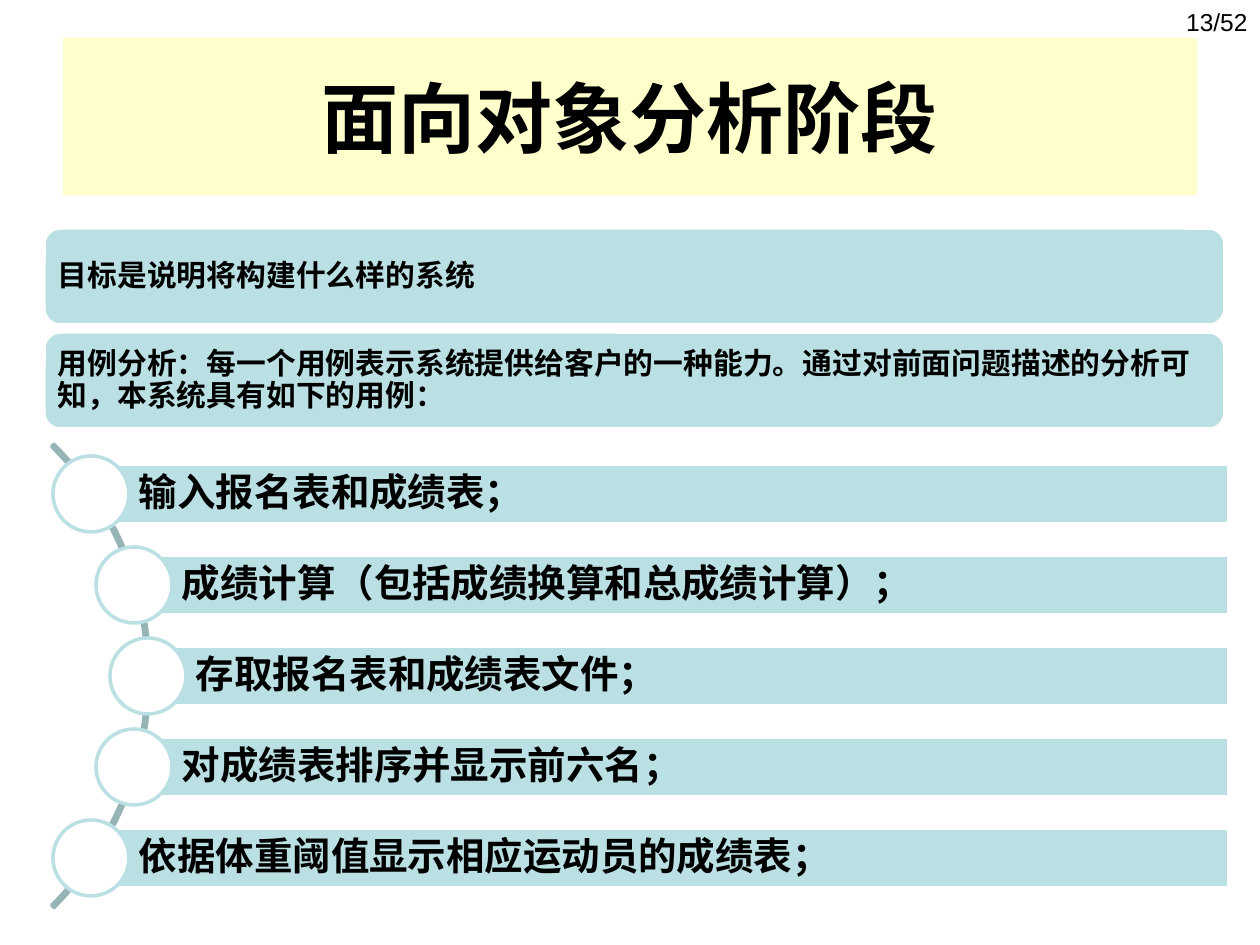
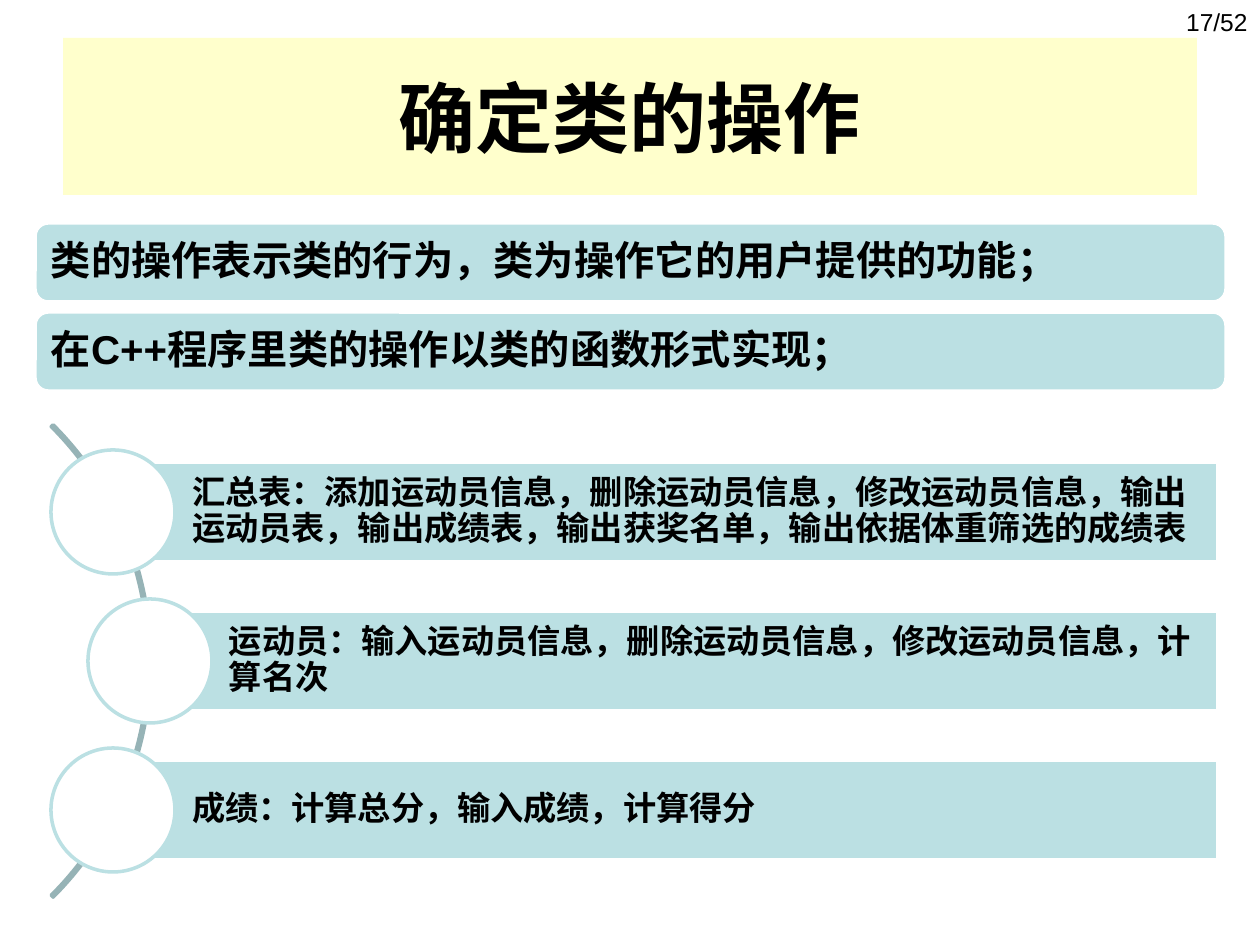
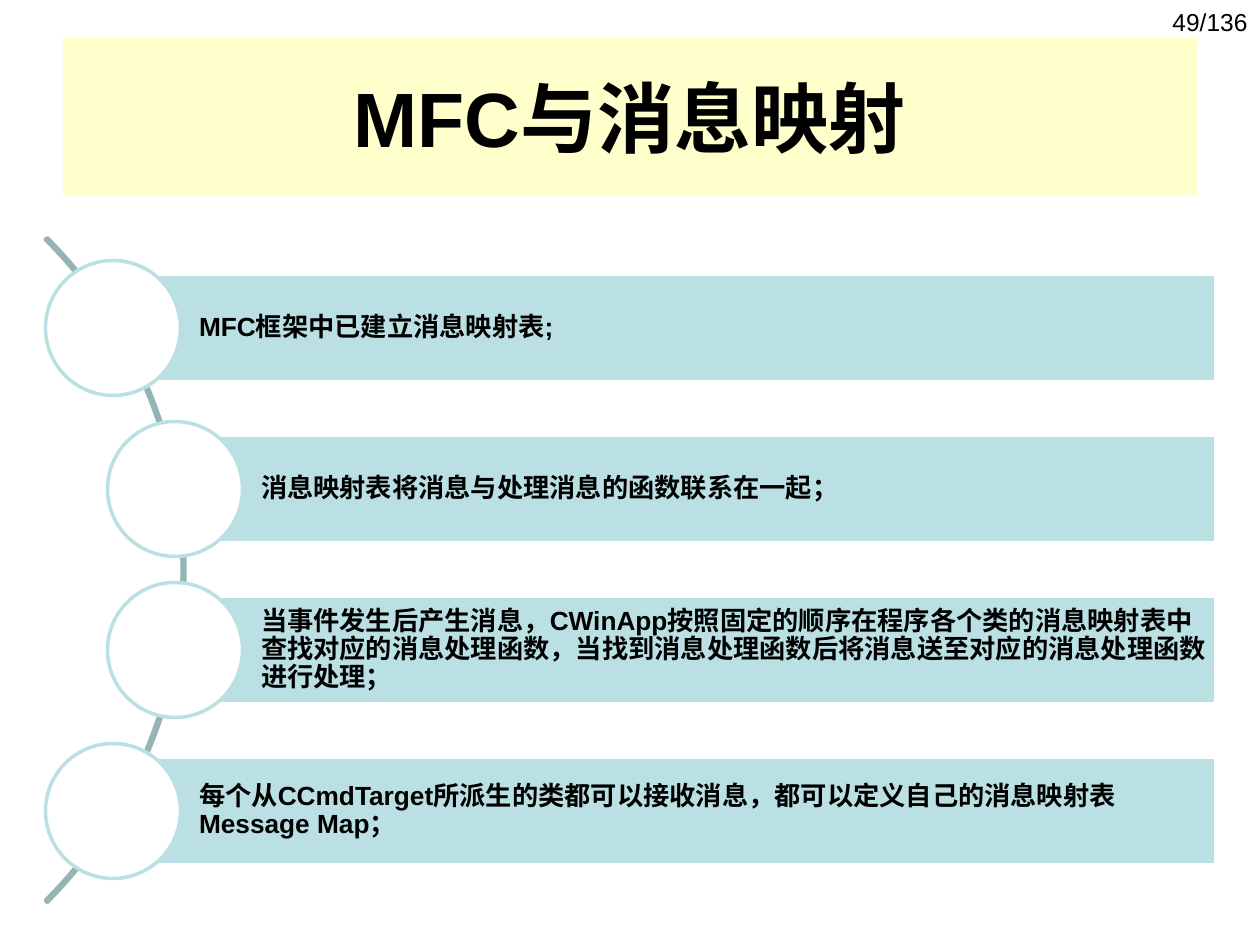
"""Builds three slides of cards and arc lists about object-oriented design."""
from pptx import Presentation
from pptx import util as u
from pptx.dml.color import RGBColor
from pptx.enum import shapes, text

BLACK = RGBColor(0x00, 0x00, 0x00)
WHITE = RGBColor(0xFF, 0xFF, 0xFF)
CREAM = RGBColor(0xFF, 0xFF, 0xCC)
TEAL = RGBColor(0xBB, 0xE0, 0xE3)
ARC = RGBColor(0x96, 0xB3, 0xB6)
FONT = "Arial"
PX = u.Inches(1) / 126


def emu(*lengths):
    return [u.Emu(round(n * PX)) for n in lengths]


class Deck:
    def __init__(self):
        self.prs = Presentation()
        self.prs.slide_width, self.prs.slide_height = emu(1260, 945)
        self.s = None

    def set_text(self, tf, words, size, align, bold=True, spacing=None):
        tf.word_wrap = True
        tf.text = words
        p = tf.paragraphs[0]
        p.alignment = align
        p.line_spacing = spacing
        p.font.name = FONT
        p.font.size = u.Pt(size)
        p.font.bold = bold
        p.font.color.rgb = BLACK

    def slide(self, title, number):
        self.s = self.prs.slides.add_slide(self.prs.slide_layouts[5])
        sp = self.s.shapes.title
        sp.left, sp.top, sp.width, sp.height = emu(63, 38, 1134, 157)
        sp.fill.solid()
        sp.fill.fore_color.rgb = CREAM
        tf = sp.text_frame
        tf.auto_size = text.MSO_AUTO_SIZE.NONE
        tf.vertical_anchor = text.MSO_ANCHOR.MIDDLE
        self.set_text(tf, title, 44, text.PP_ALIGN.CENTER)
        sp = self.s.shapes.add_textbox(*emu(1147, 1, 113, 66))
        self.set_text(sp.text_frame, number, 14, text.PP_ALIGN.RIGHT, bold=False)

    def shape(self, kind, box, fill, line):
        sp = self.s.shapes.add_shape(kind, *emu(*box))
        sp.shadow.inherit = False
        if fill is None:
            sp.fill.background()
        else:
            sp.fill.solid()
            sp.fill.fore_color.rgb = fill
        sp.line.color.rgb = line
        sp.line.width = u.Pt(2)
        return sp

    def label(self, kind, box, words, size, indent, pad):
        tf = self.shape(kind, box, TEAL, WHITE).text_frame
        tf.vertical_anchor = text.MSO_ANCHOR.MIDDLE
        tf.margin_left, tf.margin_top, tf.margin_right, tf.margin_bottom = emu(
            indent, pad, pad, pad)
        self.set_text(tf, words, size, text.PP_ALIGN.LEFT, spacing=0.9)

    def cards(self, items, box, pitch, size, pad):
        left, top, width, height = box
        for i, words in enumerate(items):
            self.label(shapes.MSO_SHAPE.ROUNDED_RECTANGLE,
                       (left, top + i * pitch, width, height),
                       words, size, pad, pad)

    def arc(self, right, middle, diameter, thickness):
        sp = self.shape(shapes.MSO_SHAPE.BLOCK_ARC,
                        (right - diameter, middle - diameter / 2, diameter, diameter),
                        None, ARC)
        for i, value in enumerate((189, 27, thickness)):
            sp.adjustments[i] = value

    def rows(self, items, first, pitch, height, right, dot, size, indent, pad):
        for i, (left, words) in enumerate(items):
            middle = first + i * pitch
            self.label(shapes.MSO_SHAPE.RECTANGLE,
                       (left, middle - height / 2, right - left, height),
                       words, size, indent, pad)
            self.shape(shapes.MSO_SHAPE.OVAL,
                       (left - dot / 2, middle - dot / 2, dot, dot), WHITE, TEAL)


def main():
    deck = Deck()

    deck.slide("面向对象分析阶段", "13/52")
    deck.cards(["目标是说明将构建什么样的系统",
                "用例分析：每一个用例表示系统提供给客户的一种能力。"
                "通过对前面问题描述的分析可知，本系统具有如下的用例："],
               box=(44, 228, 1181, 97), pitch=104, size=17, pad=9)
    deck.arc(right=150, middle=676, diameter=655, thickness=0.005)
    deck.rows([(91, "输入报名表和成绩表；"),
               (134, "成绩计算（包括成绩换算和总成绩计算）；"),
               (148, "存取报名表和成绩表文件；"),
               (134, "对成绩表排序并显示前六名；"),
               (91, "依据体重阈值显示相应运动员的成绩表；")],
              first=494, pitch=91, height=60, right=1229, dot=76,
              size=22, indent=48, pad=8)

    deck.slide("确定类的操作", "17/52")
    deck.cards(["类的操作表示类的行为，类为操作它的用户提供的功能；",
                "在C++程序里类的操作以类的函数形式实现；"],
               box=(35, 223, 1191, 79), pitch=89, size=23, pad=12)
    deck.arc(right=151, middle=661, diameter=668, thickness=0.004)
    deck.rows([(113, "汇总表：添加运动员信息，删除运动员信息，修改运动员信息，"
                     "输出运动员表，输出成绩表，输出获奖名单，输出依据体重筛选的成绩表"),
               (150, "运动员：输入运动员信息，删除运动员信息，修改运动员信息，计算名次"),
               (113, "成绩：计算总分，输入成绩，计算得分")],
              first=512, pitch=149, height=99, right=1218, dot=124,
              size=19, indent=79, pad=6)

    deck.slide("MFC与消息映射", "49/136")
    deck.arc(right=185, middle=570, diameter=940, thickness=0.003)
    deck.rows([(113, "MFC框架中已建立消息映射表;"),
               (175, "消息映射表将消息与处理消息的函数联系在一起；"),
               (175, "当事件发生后产生消息，CWinApp按照固定的顺序在程序各个类的消息映射表中"
                     "查找对应的消息处理函数，当找到消息处理函数后将消息送至对应的消息处理函数进行处理；"),
               (113, "每个从CCmdTarget所派生的类都可以接收消息，"
                     "都可以定义自己的消息映射表Message Map；")],
              first=328, pitch=161, height=107, right=1216, dot=135,
              size=15, indent=86, pad=5)

    deck.prs.save("out.pptx")


if __name__ == "__main__":
    main()
